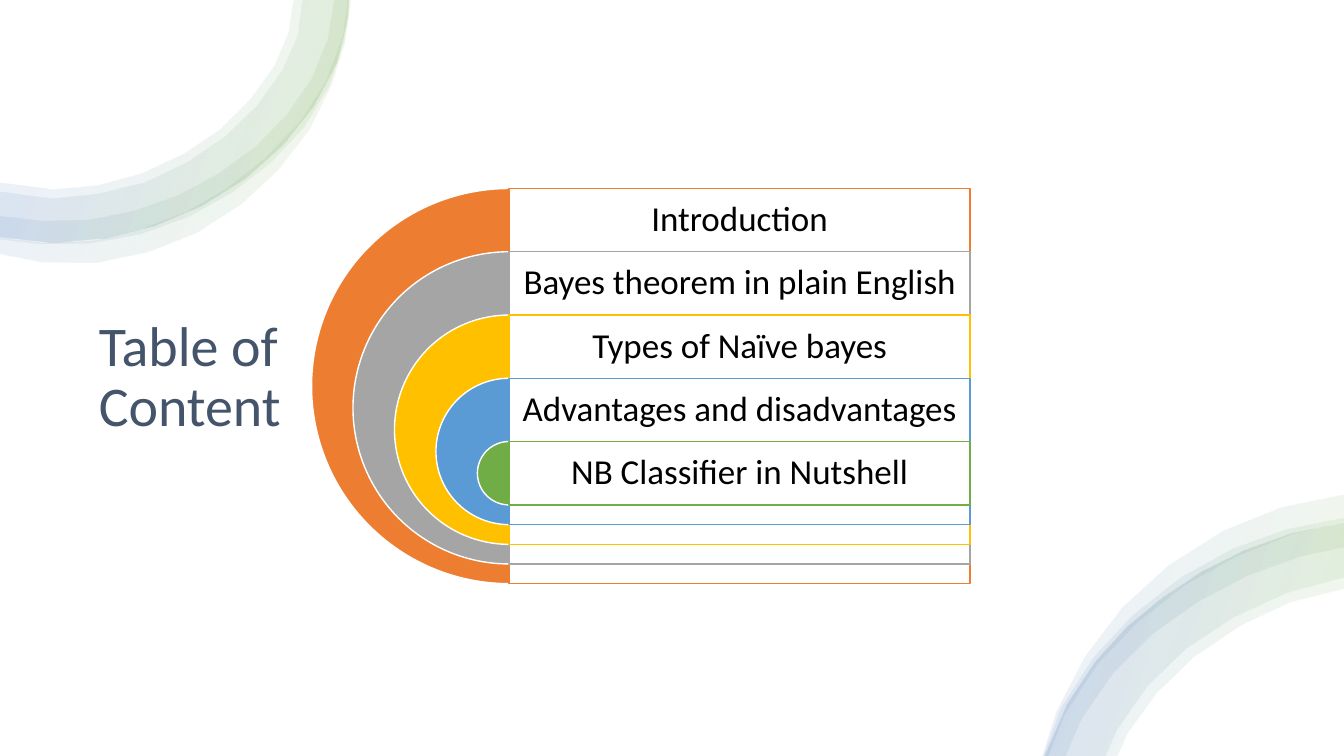
"""Build a contents slide with nested half rings and two soft corner swooshes."""
from dataclasses import dataclass

from lxml.etree import SubElement
from pptx import Presentation
from pptx.dml.color import RGBColor
from pptx.enum.shapes import MSO_SHAPE as Preset
from pptx.enum.text import MSO_ANCHOR as Anchor, MSO_AUTO_SIZE as AutoSize, PP_ALIGN as Align
from pptx.oxml.ns import qn
from pptx.shapes.autoshape import Shape
from pptx.slide import Slide
from pptx.text.text import TextFrame
from pptx.util import Inches, Pt

WHITE = RGBColor(0xFF, 0xFF, 0xFF)
BLACK = RGBColor(0x00, 0x00, 0x00)
SLATE = RGBColor(0x44, 0x54, 0x6A)
ORANGE = RGBColor(0xED, 0x7D, 0x31)
GRAY = RGBColor(0xA5, 0xA5, 0xA5)
GOLD = RGBColor(0xFF, 0xC0, 0x00)
BLUE = RGBColor(0x5B, 0x9B, 0xD5)
GREEN = RGBColor(0x70, 0xAD, 0x47)
ROYAL = RGBColor(0x44, 0x72, 0xC4)

FONT = "Calibri"
GRADIENT_STOPS = ((2, WHITE), (16, GREEN), (85, ROYAL), (100, WHITE))
CENTER_X, PANEL_WIDTH = 5.05, 4.57
FIRST_TOP, LAST_TOP = 1.87, 4.38
LARGEST, SMALLEST = 3.92, 0.63

Point = tuple[float, float]


@dataclass(frozen=True)
class Band:
    outer: list[Point]
    inner: list[Point]


@dataclass(frozen=True)
class Topic:
    text: str
    color: RGBColor


TOP_EDGE = [(3.46, 0), (3.45, 0.19), (3.34, 0.63), (3.11, 1.06), (2.81, 1.44), (2.44, 1.77),
            (2.01, 2.04), (1.54, 2.24), (1.06, 2.36), (0.53, 2.41), (0, 2.35)]
BOTTOM_EDGE = [(10.36, 7.5), (10.59, 6.97), (10.87, 6.55), (11.18, 6.21), (11.52, 5.93),
               (11.91, 5.67), (12.33, 5.46), (12.8, 5.29), (13.34, 5.18)]

BANDS = [
    Band(TOP_EDGE, [(0, 1.81), (0.53, 1.88), (0.97, 1.84), (1.41, 1.72), (1.82, 1.53),
                    (2.18, 1.29), (2.48, 0.99), (2.72, 0.66), (2.86, 0.33), (2.91, 0)]),
    Band(TOP_EDGE, [(0, 1.9), (0.53, 1.97), (0.99, 1.92), (1.44, 1.81), (1.86, 1.61),
                    (2.24, 1.35), (2.55, 1.05), (2.8, 0.7), (2.95, 0.36), (3, 0)]),
    Band([(3.46, 0), (3.41, 0.41), (3.26, 0.86), (3.01, 1.27), (2.68, 1.62), (2.3, 1.91),
          (1.87, 2.15), (1.4, 2.32), (0.91, 2.41), (0.42, 2.42), (0, 2.37)],
         [(0, 2.14), (0.43, 2.19), (0.88, 2.18), (1.33, 2.09), (1.76, 1.94), (2.17, 1.72),
          (2.53, 1.46), (2.84, 1.14), (3.09, 0.78), (3.25, 0.38), (3.31, 0)]),
    Band([(3.48, 0), (3.42, 0.43), (3.29, 0.84), (3.07, 1.28), (2.76, 1.68), (2.39, 2.02),
          (1.95, 2.3), (1.47, 2.49), (0.94, 2.6), (0.41, 2.59), (0, 2.51)],
         [(0, 2.35), (0.43, 2.4), (0.91, 2.38), (1.38, 2.27), (1.83, 2.1), (2.25, 1.86),
          (2.63, 1.56), (2.97, 1.21), (3.23, 0.81), (3.4, 0.36), (3.45, 0)]),
    Band([(10.34, 7.5), (10.48, 7.06), (10.76, 6.52), (11.13, 6.03), (11.59, 5.61),
          (12.13, 5.27), (12.7, 5.04), (13.34, 4.91)],
         [(13.34, 5.18), (12.82, 5.3), (12.27, 5.52), (11.75, 5.81), (11.29, 6.17),
          (10.88, 6.6), (10.56, 7.09), (10.4, 7.5)]),
    Band(BOTTOM_EDGE, [(13.34, 5.83), (12.79, 5.97), (12.3, 6.2), (11.84, 6.51),
                       (11.47, 6.87), (11.18, 7.27), (11.08, 7.5)]),
    Band([(10.35, 7.5), (10.52, 7.03), (10.84, 6.53), (11.23, 6.11), (11.7, 5.74),
          (12.22, 5.45), (12.75, 5.26), (13.34, 5.14)],
         [(13.34, 5.43), (12.88, 5.53), (12.36, 5.72), (11.87, 5.98), (11.42, 6.3),
          (11.04, 6.68), (10.73, 7.13), (10.57, 7.5)]),
    Band(BOTTOM_EDGE, [(13.34, 5.72), (12.75, 5.88), (12.23, 6.12), (11.76, 6.43),
                       (11.38, 6.8), (11.08, 7.23), (10.96, 7.5)]),
]

TOPICS = [
    Topic("Introduction", ORANGE),
    Topic("Bayes theorem in plain English", GRAY),
    Topic("Types of Naïve bayes", GOLD),
    Topic("Advantages and disadvantages", BLUE),
    Topic("NB Classifier in Nutshell", GREEN),
]


def add_band(slide: Slide, band: Band) -> None:
    """Draw one translucent gradient band."""
    outline = [(Inches(x), Inches(y)) for x, y in band.outer + band.inner]
    builder = slide.shapes.build_freeform(*outline[0])
    builder.add_line_segments(outline[1:], close=True)
    shape = builder.convert_to_shape()
    shape.shadow.inherit = False
    shape.line.fill.background()
    shape.fill.gradient()
    shape.fill.gradient_angle = 160
    stops = next(shape.element.iter(qn("a:gsLst")))
    for stop in list(stops):
        stops.remove(stop)
    for position, color in GRADIENT_STOPS:
        stop = SubElement(stops, qn("a:gs"), pos=str(position * 1000))
        color_element = SubElement(stop, qn("a:srgbClr"), val=str(color))
        SubElement(color_element, qn("a:alpha"), val="10000")


def add_filled(slide: Slide, preset: Preset, left: float, top: float, width: float,
               height: float, fill: RGBColor, line: RGBColor) -> Shape:
    """Draw a preset shape with a solid fill and a thin outline."""
    shape = slide.shapes.add_shape(preset, Inches(left), Inches(top), Inches(width), Inches(height))
    shape.shadow.inherit = False
    shape.fill.solid()
    shape.fill.fore_color.rgb = fill
    shape.line.color.rgb = line
    shape.line.width = Pt(1)
    return shape


def write(frame: TextFrame, text: str, size: int, color: RGBColor, align: Align) -> None:
    """Write one formatted run into a vertically centred frame."""
    frame.word_wrap = True
    frame.auto_size = AutoSize.NONE
    frame.vertical_anchor = Anchor.MIDDLE
    paragraph = frame.paragraphs[0]
    paragraph.alignment = align
    paragraph.line_spacing = 0.9
    run = paragraph.add_run()
    run.text = text
    run.font.name = FONT
    run.font.size = Pt(size)
    run.font.color.rgb = color


def add_topic(slide: Slide, topic: Topic, index: int) -> None:
    """Draw a half ring, its panel and its label."""
    gaps = len(TOPICS) - 1
    top = FIRST_TOP + index * (LAST_TOP - FIRST_TOP) / gaps
    diameter = LARGEST - index * (LARGEST - SMALLEST) / gaps
    pie = add_filled(slide, Preset.PIE, CENTER_X - diameter / 2, top, diameter, diameter,
                     topic.color, WHITE)
    pie.adjustments[0], pie.adjustments[1] = 54, 162
    panel = add_filled(slide, Preset.RECTANGLE, CENTER_X, top, PANEL_WIDTH, diameter,
                       WHITE, topic.color)
    panel_color = next(panel.element.spPr.iter(qn("a:srgbClr")))
    SubElement(panel_color, qn("a:alpha"), val="90000")
    label = slide.shapes.add_textbox(Inches(CENTER_X), Inches(top), Inches(PANEL_WIDTH),
                                     Inches(SMALLEST))
    frame = label.text_frame
    frame.margin_left = frame.margin_right = Inches(0.1)
    frame.margin_top = frame.margin_bottom = Inches(0.1)
    write(frame, topic.text, 25, BLACK, Align.CENTER)


def main() -> None:
    """Assemble and save the slide."""
    presentation = Presentation()
    presentation.slide_width, presentation.slide_height = Inches(13.33), Inches(7.5)
    slide = presentation.slides.add_slide(presentation.slide_layouts[5])
    slide.background.fill.solid()
    slide.background.fill.fore_color.rgb = WHITE
    title = slide.shapes.title
    title.left, title.top = Inches(0.88), Inches(1.69)
    title.width, title.height = Inches(3.72), Inches(4.13)
    write(title.text_frame, "Table of Content", 40, SLATE, Align.LEFT)
    for band in BANDS:
        add_band(slide, band)
    for index, topic in enumerate(TOPICS):
        add_topic(slide, topic, index)
    presentation.save("out.pptx")


if __name__ == "__main__":
    main()
